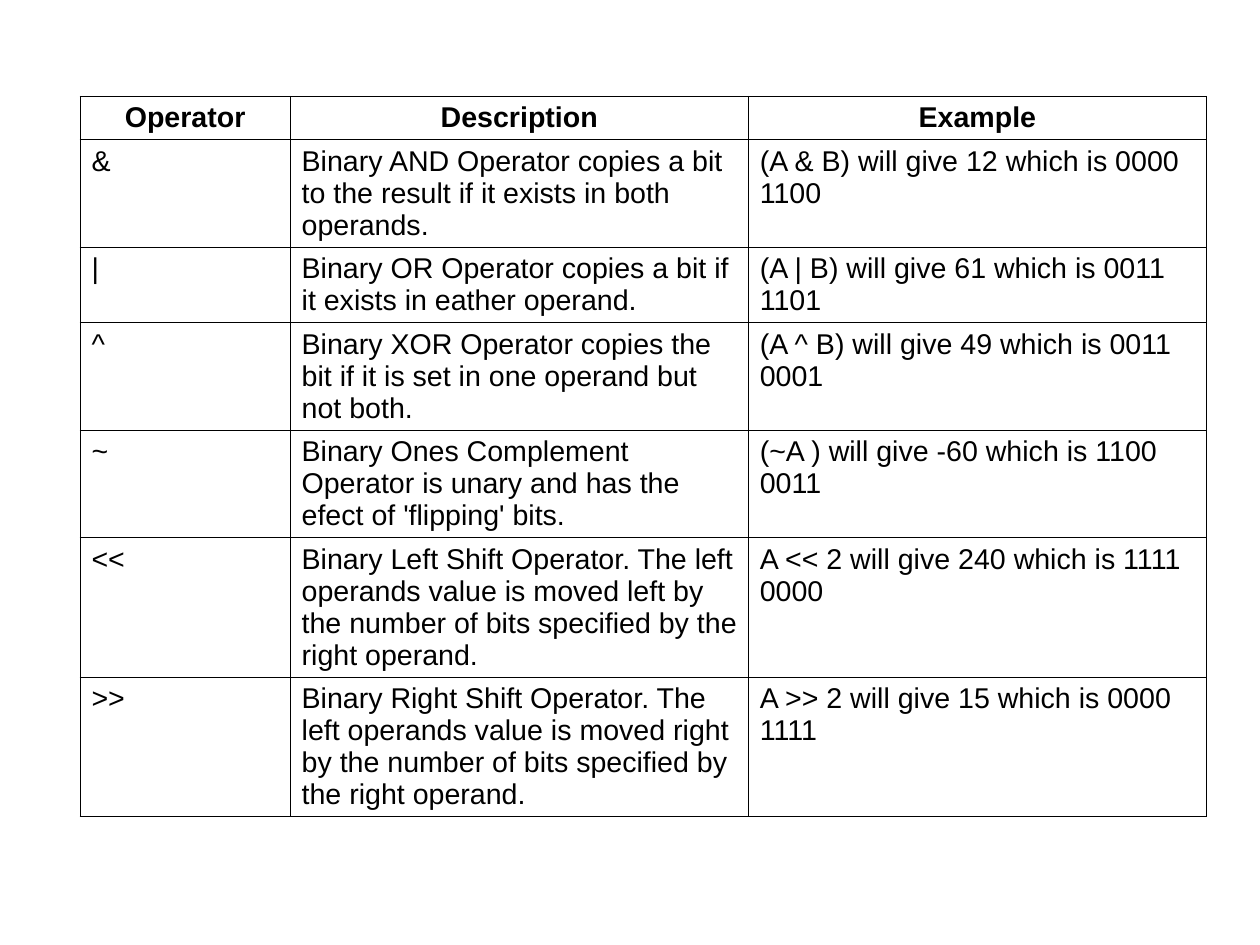
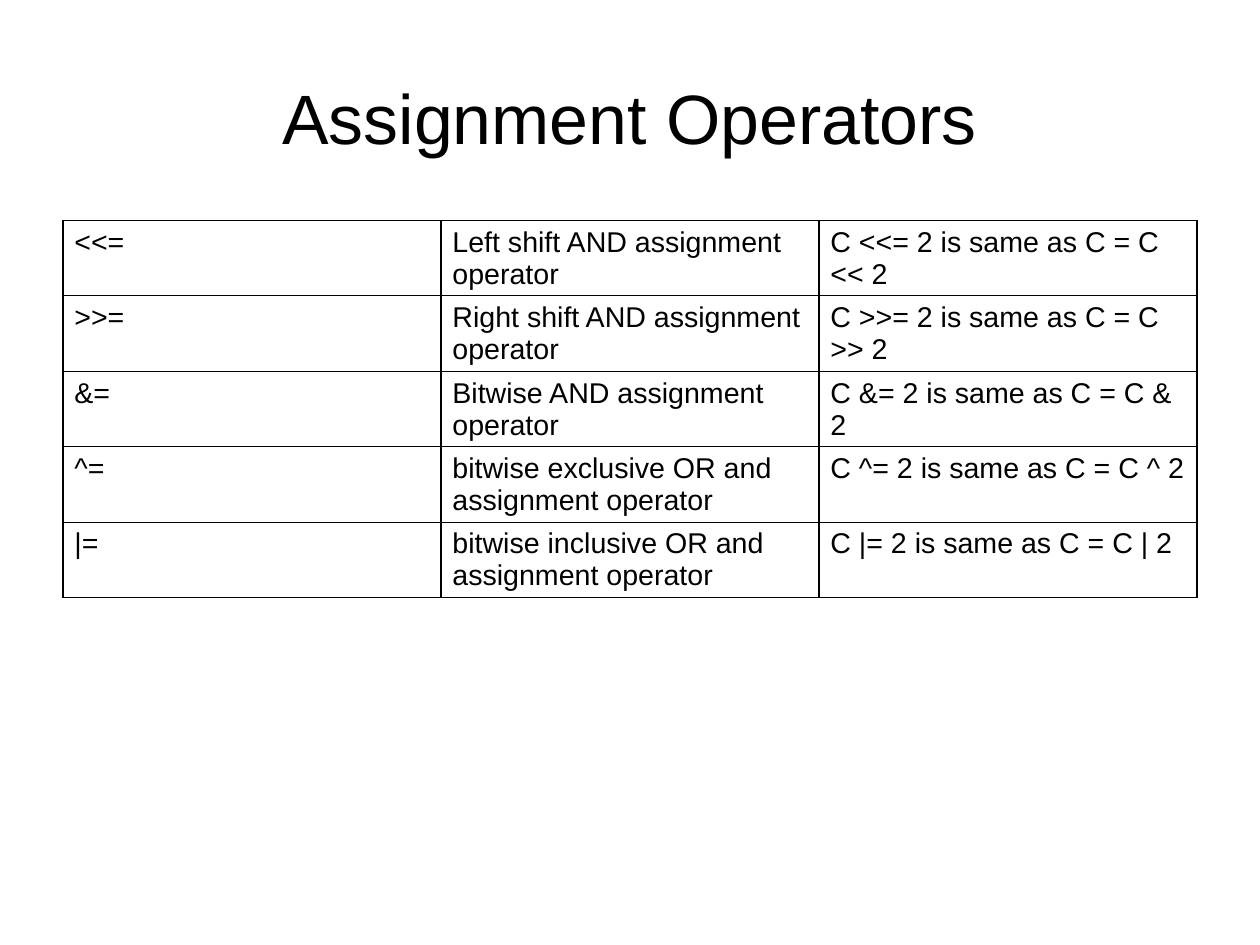
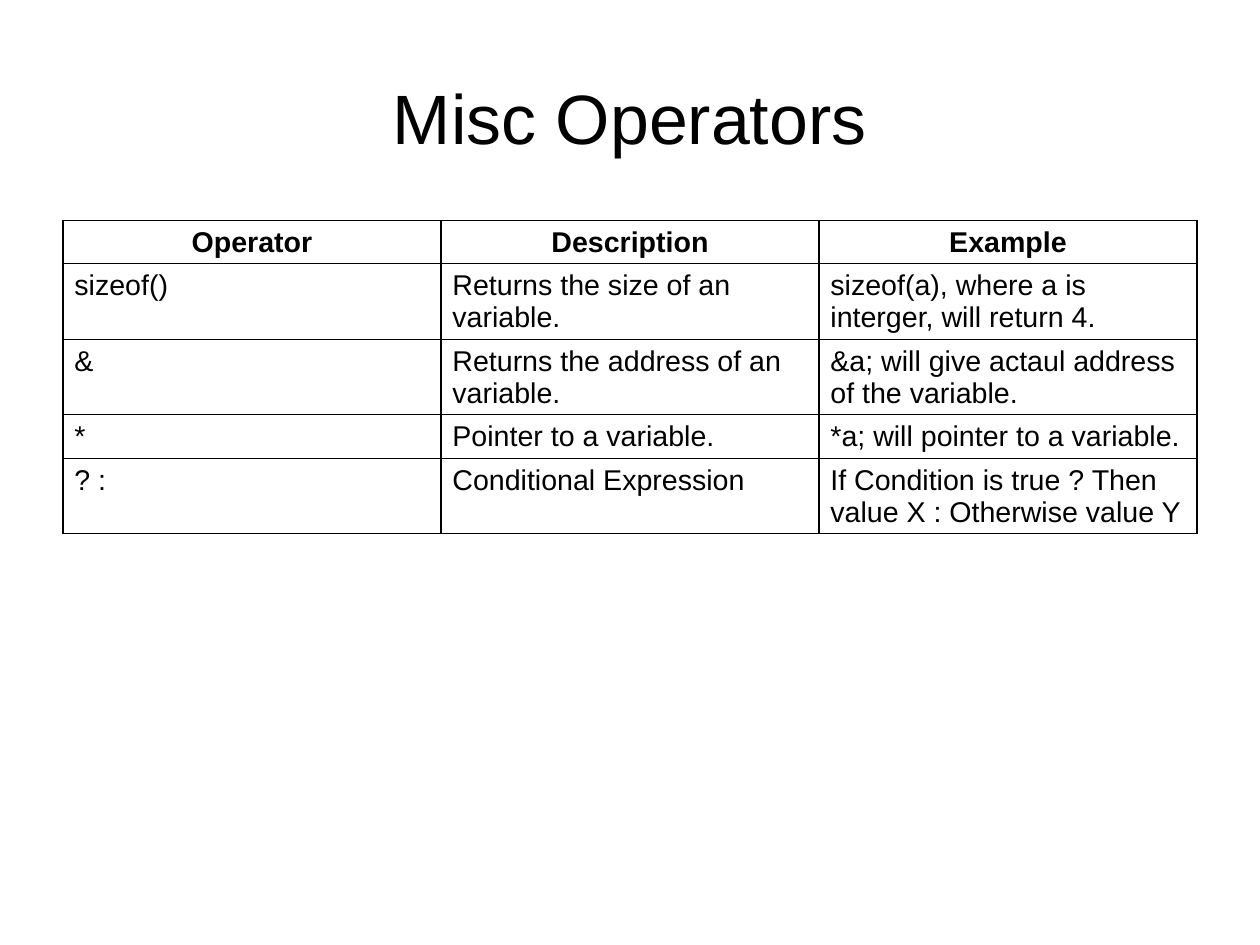
import dataclasses

import lxml.etree
import pptx
import pptx.dml.color
import pptx.enum.text
import pptx.oxml.ns
import pptx.presentation
import pptx.slide
import pptx.table
import pptx.text.text
import pptx.util

Cm = pptx.util.Cm
ALIGN = pptx.enum.text.PP_ALIGN
COLORS = {"ink": "000000"}
FONT = "Arial"
HEAD = ("Operator", "Description", "Example")
ROW = 0.96
EDGE = 0.75


@dataclasses.dataclass(frozen=True)
class Grid:
    left: float
    top: float
    height: float
    widths: tuple[float, ...]
    rows: tuple[tuple[str, ...], ...]
    title: str = ""


GRIDS = (
    Grid(1.78, 2.14, 17.02, (4.67, 10.18, 10.18), (
        HEAD,
        ("&", "Binary AND Operator copies a bit to the result if it exists in both operands.",
         "(A & B) will give 12 which is 0000 1100"),
        ("|", "Binary OR Operator copies a bit if it exists in eather operand.",
         "(A | B) will give 61 which is 0011 1101"),
        ("^", "Binary XOR Operator copies the bit if it is set in one operand but not both.",
         "(A ^ B) will give 49 which is 0011 0001"),
        ("~", "Binary Ones Complement Operator is unary and has the efect of 'flipping' bits.",
         "(~A ) will give -60 which is 1100 0011"),
        ("<<", "Binary Left Shift Operator. The left operands value is moved left "
         "by the number of bits specified by the right operand.",
         "A << 2 will give 240 which is 1111 0000"),
        (">>", "Binary Right Shift Operator. The left operands value is moved right "
         "by the number of bits specified by the right operand.",
         "A >> 2 will give 15 which is 0000 1111"),
    )),
    Grid(1.4, 4.9, 8.89, (8.4,) * 3, (
        ("<<=", "Left shift AND assignment operator", "C <<= 2 is same as C = C << 2"),
        (">>=", "Right shift AND assignment operator", "C >>= 2 is same as C = C >> 2"),
        ("&=", "Bitwise AND assignment operator", "C &= 2 is same as C = C & 2"),
        ("^=", "bitwise exclusive OR and assignment operator", "C ^= 2 is same as C = C ^ 2"),
        ("|=", "bitwise inclusive OR and assignment operator", "C |= 2 is same as C = C | 2"),
    ), "Assignment Operators"),
    Grid(1.4, 4.9, 7.37, (8.4,) * 3, (
        HEAD,
        ("sizeof()", "Returns the size of an variable.",
         "sizeof(a), where a is interger, will return 4."),
        ("&", "Returns the address of an variable.",
         "&a; will give actaul address of the variable."),
        ("*", "Pointer to a variable.", "*a; will pointer to a variable."),
        ("? :", "Conditional Expression",
         "If Condition is true ? Then value X : Otherwise value Y"),
    ), "Misc Operators"),
)


def write(frame: pptx.text.text.TextFrame, text: str, size: int, bold: bool, align: ALIGN) -> None:
    frame.text = text
    para = frame.paragraphs[0]
    para.alignment = align
    font = para.runs[0].font
    font.name, font.size, font.bold = FONT, pptx.util.Pt(size), bold
    font.color.rgb = pptx.dml.color.RGBColor.from_string(COLORS["ink"])


def border(cell: pptx.table._Cell) -> None:
    qn = pptx.oxml.ns.qn
    props = cell._tc.get_or_add_tcPr()
    for side in ("lnL", "lnR", "lnT", "lnB"):
        line = lxml.etree.SubElement(props, qn(f"a:{side}"), w=str(pptx.util.Pt(EDGE)))
        fill = lxml.etree.SubElement(line, qn("a:solidFill"))
        lxml.etree.SubElement(fill, qn("a:srgbClr"), val=COLORS["ink"])


def draw_title(slide: pptx.slide.Slide, text: str) -> None:
    title = slide.shapes.title
    title.left, title.top, title.width, title.height = Cm(1.4), Cm(0.84), Cm(25.2), Cm(3.5)
    frame = title.text_frame
    write(frame, text, 44, False, ALIGN.CENTER)
    frame.margin_left = frame.margin_right = frame.margin_top = frame.margin_bottom = 0
    frame.vertical_anchor = pptx.enum.text.MSO_ANCHOR.MIDDLE
    frame.auto_size = pptx.enum.text.MSO_AUTO_SIZE.NONE
    frame.word_wrap = True


def draw_grid(slide: pptx.slide.Slide, grid: Grid) -> None:
    shape = slide.shapes.add_table(
        len(grid.rows), len(grid.widths), Cm(grid.left), Cm(grid.top),
        Cm(sum(grid.widths)), Cm(grid.height))
    table = shape.table
    table.first_row = table.horz_banding = False
    for col, width in zip(table.columns, grid.widths):
        col.width = Cm(width)
    for row, texts in zip(table.rows, grid.rows):
        row.height = Cm(ROW)
        head = texts == HEAD
        for cell, text in zip(row.cells, texts):
            write(cell.text_frame, text, 18, head, ALIGN.CENTER if head else ALIGN.LEFT)
            border(cell)
            cell.fill.background()
    shape.height = Cm(grid.height)


def build(deck: pptx.presentation.Presentation) -> None:
    deck.slide_width, deck.slide_height = Cm(28), Cm(21)
    for grid in GRIDS:
        slide = deck.slides.add_slide(deck.slide_layouts[5 if grid.title else 6])
        if grid.title:
            draw_title(slide, grid.title)
        draw_grid(slide, grid)


deck = pptx.Presentation()
build(deck)
deck.save("out.pptx")
